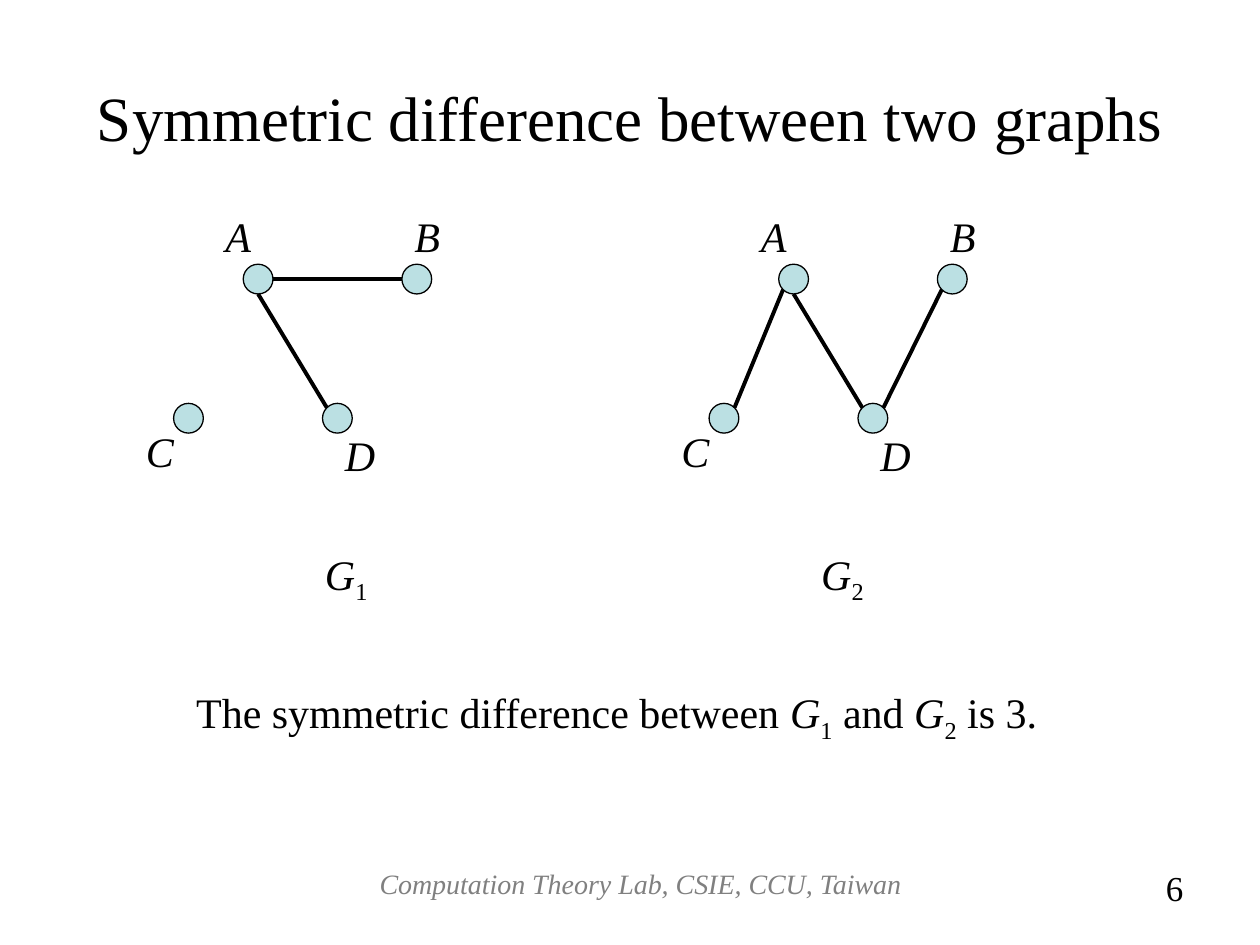
import math
from dataclasses import dataclass
from enum import Enum

import lxml.etree
import pptx
import pptx.dml.color
import pptx.enum.shapes
import pptx.enum.text
import pptx.oxml.ns
import pptx.slide
import pptx.util

Pt = pptx.util.Pt
RGB = pptx.dml.color.RGBColor
Align = pptx.enum.text.PP_ALIGN
Anchor = pptx.enum.text.MSO_ANCHOR


@dataclass(frozen=True)
class Theme:
    font: str = "Times New Roman"
    ink: RGB = RGB(0x00, 0x00, 0x00)
    muted: RGB = RGB(0x80, 0x80, 0x80)
    vertex_fill: RGB = RGB(0xBB, 0xE0, 0xE3)
    title_size: float = 36
    body_size: float = 24
    page_size: float = 20
    footer_size: float = 16
    outline: float = 0.75
    edge: float = 2.25


class Side(Enum):
    RIGHT = 0
    BOTTOM = 90
    BOTTOM_LEFT = 135
    LEFT = 180
    TOP_LEFT = 225
    TOP_RIGHT = 315


@dataclass(frozen=True)
class Box:
    left: float
    top: float
    width: float
    height: float


@dataclass(frozen=True)
class Piece:
    text: str
    italic: bool = False
    subscript: bool = False


@dataclass(frozen=True)
class Vertex:
    x: float
    y: float
    label_left: float
    label_top: float


@dataclass(frozen=True)
class Edge:
    start: str
    start_side: Side
    end: str
    end_side: Side


@dataclass(frozen=True)
class Graph:
    offset: float
    number: str
    name_left: float
    edges: tuple[Edge, ...]


THEME = Theme()
RADIUS = 8.5
VERTICES = {
    "A": Vertex(147.5, 159.5, 121.7, 116.6),
    "B": Vertex(238.2, 159.5, 229.7, 116.6),
    "C": Vertex(107.7, 239, 76.3, 239.8),
    "D": Vertex(192.8, 239, 190, 242),
}
A_TO_D = Edge("A", Side.BOTTOM, "D", Side.TOP_LEFT)
GRAPHS = (
    Graph(0, "1", 178.6, (A_TO_D, Edge("A", Side.RIGHT, "B", Side.LEFT))),
    Graph(306, "2", 462.2, (
        A_TO_D,
        Edge("A", Side.BOTTOM_LEFT, "C", Side.TOP_RIGHT),
        Edge("B", Side.BOTTOM_LEFT, "D", Side.TOP_RIGHT),
    )),
)


def graph_name(number: str) -> list[Piece]:
    return [Piece("G", italic=True), Piece(number, subscript=True)]


def add_text(slide: pptx.slide.Slide, box: Box, pieces: list[Piece],
             size: float = THEME.body_size, color: RGB = THEME.ink,
             align: Align = Align.LEFT, anchor: Anchor = Anchor.TOP) -> None:
    frame = slide.shapes.add_textbox(
        Pt(box.left), Pt(box.top), Pt(box.width), Pt(box.height)).text_frame
    frame.word_wrap = True
    frame.vertical_anchor = anchor
    paragraph = frame.paragraphs[0]
    paragraph.alignment = align
    paragraph.font.name = THEME.font
    paragraph.font.size = Pt(size)
    paragraph.font.color.rgb = color
    paragraph.font.italic = all(piece.italic for piece in pieces)
    for piece in pieces:
        run = paragraph.add_run()
        run.text = piece.text
        if piece.italic != paragraph.font.italic:
            run.font.italic = piece.italic
        if piece.subscript:
            run._r.get_or_add_rPr().set("baseline", "-25000")


def rim_point(name: str, side: Side, offset: float) -> tuple[Pt, Pt]:
    vertex = VERTICES[name]
    angle = math.radians(side.value)
    return (Pt(vertex.x + offset + RADIUS * math.cos(angle)),
            Pt(vertex.y + RADIUS * math.sin(angle)))


def add_edge(slide: pptx.slide.Slide, edge: Edge, offset: float) -> None:
    line = slide.shapes.add_connector(
        pptx.enum.shapes.MSO_CONNECTOR.STRAIGHT,
        *rim_point(edge.start, edge.start_side, offset),
        *rim_point(edge.end, edge.end_side, offset))
    line.line.color.rgb = THEME.ink
    line.line.width = Pt(THEME.edge)
    lxml.etree.SubElement(line._element.spPr, pptx.oxml.ns.qn("a:effectLst"))


def add_vertex(slide: pptx.slide.Slide, name: str, offset: float) -> None:
    vertex = VERTICES[name]
    circle = slide.shapes.add_shape(
        pptx.enum.shapes.MSO_SHAPE.OVAL,
        Pt(vertex.x + offset - RADIUS), Pt(vertex.y - RADIUS),
        Pt(2 * RADIUS), Pt(2 * RADIUS))
    circle.shadow.inherit = False
    circle.fill.solid()
    circle.fill.fore_color.rgb = THEME.vertex_fill
    circle.line.color.rgb = THEME.ink
    circle.line.width = Pt(THEME.outline)
    add_text(slide, Box(vertex.label_left + offset, vertex.label_top, 28, 36),
             [Piece(name, italic=True)])


def add_graph(slide: pptx.slide.Slide, graph: Graph) -> None:
    for name in VERTICES:
        add_vertex(slide, name, graph.offset)
    for edge in graph.edges:
        add_edge(slide, edge, graph.offset)
    add_text(slide, Box(graph.name_left, 309.6, 57, 40), graph_name(graph.number))


def main() -> None:
    deck = pptx.Presentation()
    deck.slide_width, deck.slide_height = Pt(720), Pt(540)
    slide = deck.slides.add_slide(deck.slide_layouts[6])

    add_text(slide, Box(36, 21.6, 648, 90),
             [Piece("Symmetric difference between two graphs")],
             size=THEME.title_size, align=Align.CENTER, anchor=Anchor.MIDDLE)
    for graph in GRAPHS:
        add_graph(slide, graph)
    add_text(slide, Box(105, 389, 516, 40), [
        Piece("The symmetric difference between "), *graph_name("1"),
        Piece(" and "), *graph_name("2"), Piece(" is 3."),
    ])
    add_text(slide, Box(173, 491.8, 386, 37.4),
             [Piece("Computation Theory Lab, CSIE, CCU, Taiwan", italic=True)],
             size=THEME.footer_size, color=THEME.muted, align=Align.CENTER)
    add_text(slide, Box(575.3, 491.8, 108, 37.4), [Piece("6")],
             size=THEME.page_size, align=Align.RIGHT)

    deck.save("out.pptx")


if __name__ == "__main__":
    main()
